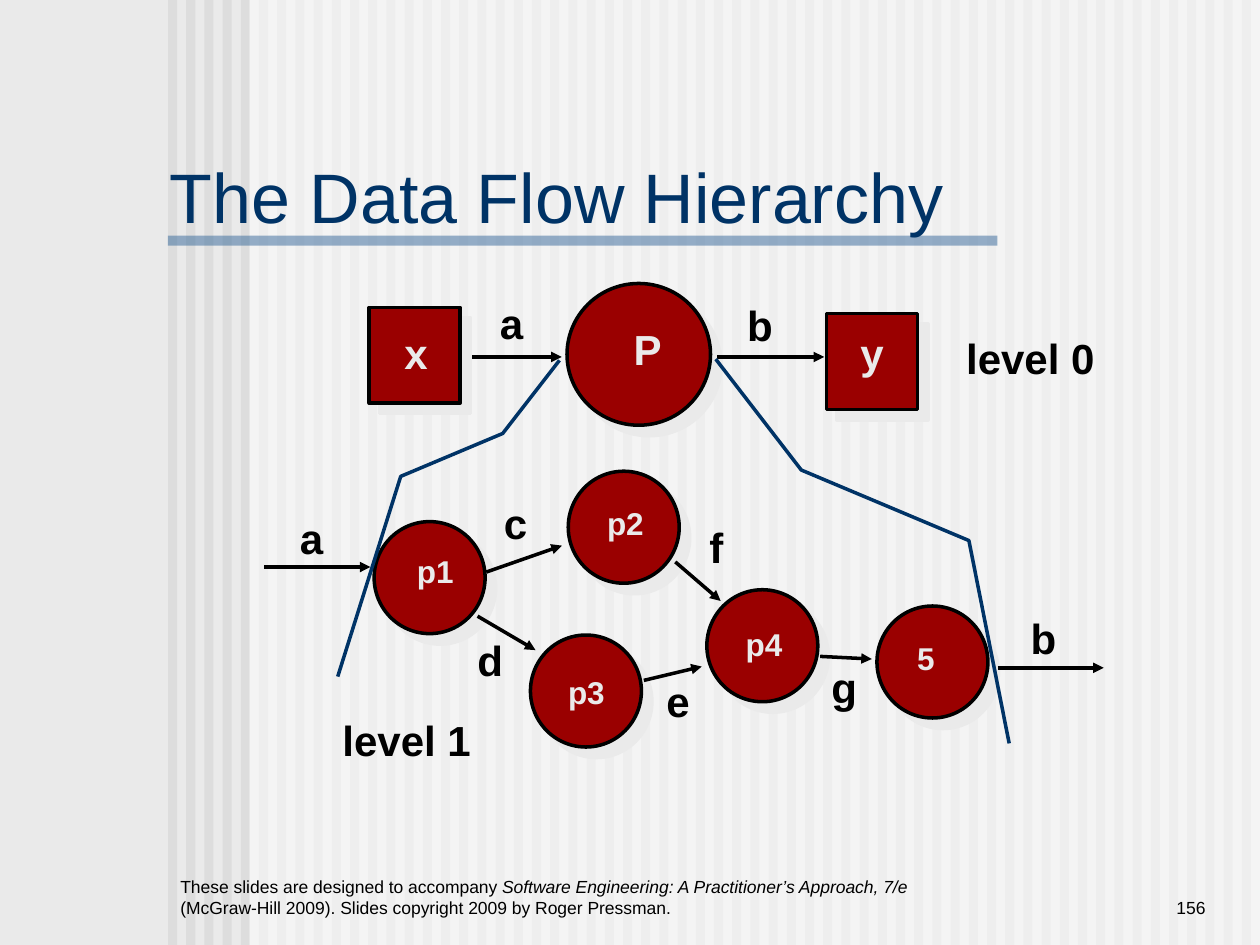
from dataclasses import dataclass
from lxml import etree
from pptx import Presentation
from pptx.dml.color import RGBColor
from pptx.enum.shapes import MSO_CONNECTOR, MSO_SHAPE
from pptx.enum.text import MSO_ANCHOR, MSO_AUTO_SIZE, PP_ALIGN
from pptx.oxml.ns import qn
from pptx.util import Pt

RECT, OVAL = MSO_SHAPE.RECTANGLE, MSO_SHAPE.OVAL
STRAIGHT = MSO_CONNECTOR.STRAIGHT
TOP, MIDDLE, BOTTOM = MSO_ANCHOR.TOP, MSO_ANCHOR.MIDDLE, MSO_ANCHOR.BOTTOM
LEFT, RIGHT = PP_ALIGN.LEFT, PP_ALIGN.RIGHT
NONE, FIT = MSO_AUTO_SIZE.NONE, MSO_AUTO_SIZE.SHAPE_TO_FIT_TEXT


@dataclass(frozen=True)
class Theme:
    """Colours, font and type sizes of the slide."""
    paper: str = "EAEAEA"
    stripe: str = "DDDDDD"
    veil: str = "FFFFFF"
    rule: str = "336699"
    navy: str = "003366"
    red: str = "9A0000"
    ink: str = "000000"
    font: str = "Arial"
    title: int = 40
    large: int = 24
    small: int = 18
    note: int = 10
    stroke: int = 2


LOOK = Theme()


def color(code):
    """Turn a hex code into a colour."""
    return RGBColor.from_string(code)


def put(part, values):
    """Set each attribute named in a dict."""
    for name, value in values.items():
        setattr(part, name, value)


def add(node, tag, **values):
    """Append an XML child with the given attributes."""
    return etree.SubElement(node, qn(tag), {k: str(v) for k, v in values.items()})


def stroke(line, code):
    """Give a line its colour and width."""
    line.color.rgb = color(code)
    line.width = Pt(LOOK.stroke)


def block(slide, kind, x, y, w, h, code, alpha=100):
    """Draw a filled shape without outline."""
    shape = slide.shapes.add_shape(kind, Pt(x), Pt(y), Pt(w), Pt(h))
    shape.shadow.inherit = False
    shape.fill.solid()
    shape.fill.fore_color.rgb = color(code)
    shape.line.fill.background()
    if alpha < 100:
        add(shape.element.spPr.find(".//" + qn("a:srgbClr")), "a:alpha", val=alpha * 1000)
    return shape


def node(slide, kind, x, y, w, h):
    """Draw an outlined red shape with a hard shadow."""
    shape = block(slide, kind, x, y, w, h, LOOK.red)
    stroke(shape.line, LOOK.ink)
    shade = add(shape.element.spPr.find(qn("a:effectLst")), "a:outerShdw",
                blurRad=0, dist=Pt(8.5), dir=2700000, algn="ctr", rotWithShape=0)
    add(shade, "a:srgbClr", val=LOOK.paper)


def arrow(slide, x1, y1, x2, y2):
    """Draw an arrow between two points."""
    line = slide.shapes.add_connector(STRAIGHT, Pt(x1), Pt(y1), Pt(x2), Pt(y2))
    stroke(line.line, LOOK.ink)
    add(line.element.spPr.find(qn("a:ln")), "a:tailEnd", type="triangle")
    add(line.element.spPr, "a:effectLst")


def write(slide, box, runs, size, code, frame, align=LEFT, bold=False):
    """Write one paragraph of (text, italic) runs."""
    text = slide.shapes.add_textbox(*map(Pt, box)).text_frame
    put(text, frame)
    para = text.paragraphs[0]
    para.alignment = align
    for words, slant in runs:
        run = para.add_run()
        run.text = words
        put(run.font, {"name": LOOK.font, "size": Pt(size), "bold": bold, "italic": slant})
        run.font.color.rgb = color(code)


def label(slide, words, x, y, w, size=LOOK.large, code=LOOK.ink):
    """Write a short bold label."""
    frame = {"word_wrap": False, "auto_size": FIT, "vertical_anchor": TOP}
    write(slide, (x, y, w, 36 if size == LOOK.large else 29), [(words, False)],
          size, code, frame, bold=True)


def backdrop(slide, box):
    """Draw the stripes, the veil and the title rule."""
    x, y, w, h = box
    pitch = 10.4
    for i in range(60):
        block(slide, RECT, x + i * pitch, y, pitch / 2, h, LOOK.stripe)
    block(slide, RECT, x + 46.5, y, w - 46.5, h, LOOK.veil, 50)
    block(slide, RECT, x, y + 134.6, 474, 5.8, LOOK.rule, 50)


def heading(slide, box):
    """Write the title."""
    frame = {"word_wrap": True, "auto_size": NONE, "vertical_anchor": MIDDLE}
    write(slide, box, [("The Data Flow Hierarchy", False)], LOOK.title, LOOK.navy, frame)


def footer(slide, box):
    """Write the credit and the page number."""
    x, y, w, h = box
    frame = {"word_wrap": True, "auto_size": NONE, "vertical_anchor": BOTTOM}
    credit = [("These slides are designed to accompany ", False),
              ("Software Engineering: A Practitioner’s Approach, 7/e ", True),
              ("(McGraw-Hill 2009). Slides copyright 2009 by Roger Pressman.", False)]
    write(slide, (x, y, 432, h), credit, LOOK.note, LOOK.ink, frame)
    write(slide, (x + w - 102, y, 102, h), [("156", False)], LOOK.note, LOOK.ink, frame, RIGHT)


def context(slide, box):
    """Draw level 0: one process between two entities."""
    x, y = box[:2]
    node(slide, OVAL, x + 113, y, 82, 81)
    for start in (49, 199):
        arrow(slide, x + start, y + 42, x + start + 61, y + 42)
    for left, top in ((0, 13.7), (261.3, 17.3)):
        node(slide, RECT, x + left, y + top, 52, 54.7)
    for words, left, top, w in (("P", 144, 19.4, 30), ("x", 13, 21.6, 27.4), ("y", 273.6, 21.6, 27.4)):
        label(slide, words, x + left, y + top, w, code=LOOK.paper)
    for words, left, top, w in (("a", 67.6, 4.3, 27.4), ("b", 208.8, 5.8, 28.8),
                                ("level 0", 334, 24.5, 87.8)):
        label(slide, words, x + left, y + top, w)


def detail(slide, box):
    """Draw level 1: the parts of the process and their flows."""
    x, y = box[:2]
    for left, top in ((62.8, 29.1), (173.7, 0.3), (152.1, 93.9), (252.9, 68), (350.1, 77.3)):
        node(slide, OVAL, x + left, y + top, 63.4, 64)
    for x1, y1, x2, y2 in ((0, 55, 60.7, 55), (419.2, 112.6, 479.7, 112.6),
                           (126.9, 57.9, 170.1, 42.8), (121.9, 83.1, 155, 102.5),
                           (216.9, 119.8, 250, 111.9), (234.9, 52.1, 260.8, 74.4),
                           (317.7, 106.1, 347.2, 107.6)):
        arrow(slide, x + x1, y + y1, x + x2, y + y2)
    for words, left, top, w in (("p1", 80.1, 42.8, 35.3), ("p2", 188.8, 15.4, 35.3),
                                ("p3", 166.5, 111.9, 35.3), ("p4", 268, 84.5, 35.3),
                                ("5", 366, 92.4, 24.5)):
        label(slide, words, x + left, y + top, w, LOOK.small, LOOK.paper)
    for words, left, top, w in (("a", 13.2, 20.4, 27.4), ("b", 430.8, 77.3, 28.8),
                                ("c", 129.8, 11.8, 27.4), ("d", 114.7, 90.3, 28.8),
                                ("e", 222.7, 113.3, 27.4), ("f", 247.2, 25.5, 22.3),
                                ("g", 317, 105.4, 28.8), ("level 1", 37.6, 135.6, 87.8)):
        label(slide, words, x + left, y + top, w)


def spread(slide, box):
    """Draw the two bent lines that open level 0 into level 1."""
    x, y = box[:2]
    for bends in (((126.7, 0.9), (94.3, 42.7), (36, 67.2), (0, 181.6)),
                  ((216, 0.2), (264.9, 63.6), (360.7, 103.9), (383.7, 219.8))):
        dots = [(Pt(x + left), Pt(y + top)) for left, top in bends]
        pen = slide.shapes.build_freeform(*dots[0])
        pen.add_line_segments(dots[1:], close=False)
        shape = pen.convert_to_shape()
        shape.shadow.inherit = False
        shape.fill.background()
        stroke(shape.line, LOOK.navy)


def main():
    """Build and save the slide."""
    deck = Presentation()
    put(deck, {"slide_width": Pt(720), "slide_height": Pt(540)})
    slide = deck.slides.add_slide(deck.slide_layouts[6])
    slide.background.fill.solid()
    slide.background.fill.fore_color.rgb = color(LOOK.paper)
    for draw, box in ((backdrop, (96, 0, 624, 540)), (footer, (96, 492, 600, 36)),
                      (heading, (90, 90, 541.4, 44)), (context, (211, 162, 422, 81)),
                      (detail, (151, 269, 480, 172)), (spread, (193, 205, 384, 220))):
        draw(slide, box)
    deck.save("out.pptx")


if __name__ == "__main__":
    main()
